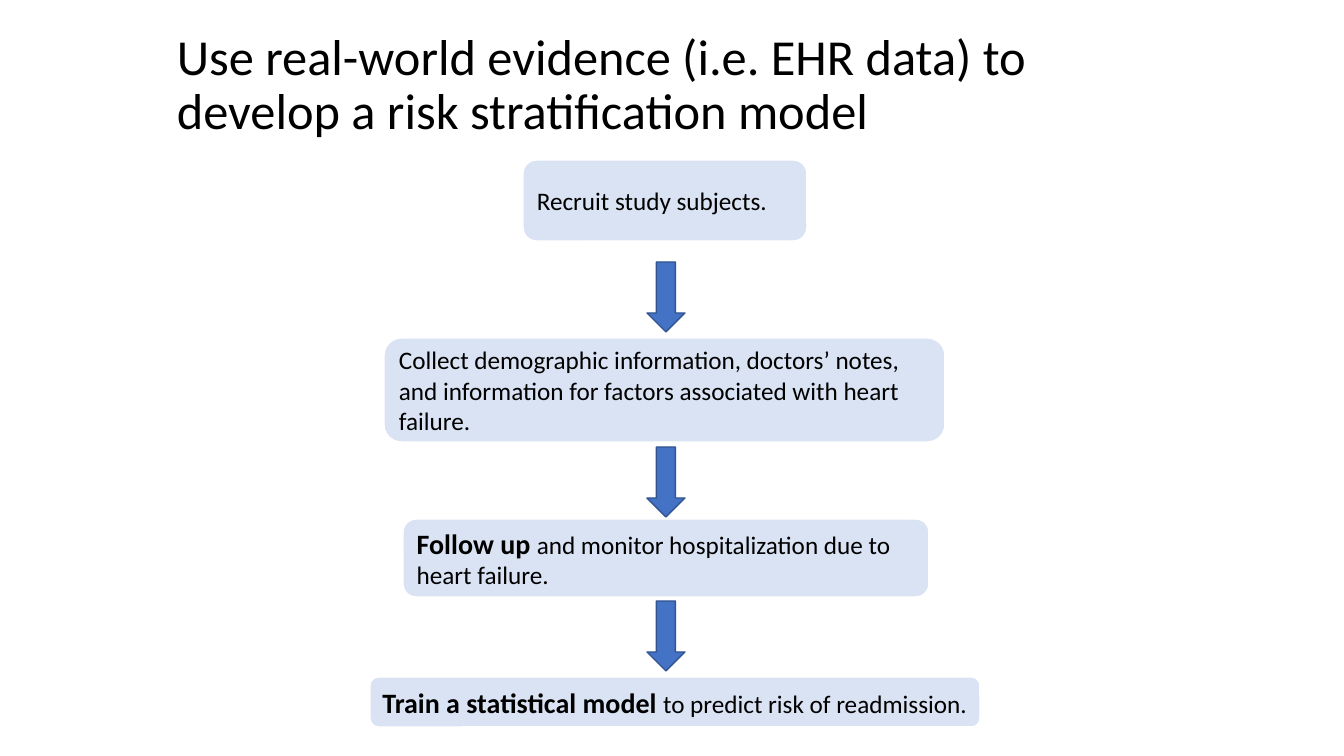
from pptx import Presentation
from pptx.dml.color import RGBColor
from pptx.enum.shapes import MSO_SHAPE
from pptx.enum.text import MSO_ANCHOR, PP_ALIGN
from pptx.util import Pt

EMU_PER_PX = 914400 / 100.8
ROUNDED = MSO_SHAPE.ROUNDED_RECTANGLE
DOWN_ARROW = MSO_SHAPE.DOWN_ARROW
MIDDLE = MSO_ANCHOR.MIDDLE
LEFT = PP_ALIGN.LEFT

FONT = "Calibri"
COLORS = {
    "text": "000000",
    "step": "DAE3F3",
    "step_line": "FFFFFF",
    "arrow": "4472C4",
    "arrow_line": "325491",
}

TITLE = "Use real-world evidence (i.e. EHR data) to develop a risk stratification model"

# Each step: left, top, width, height, bold lead, remaining text
STEPS = [
    (523, 160, 284, 81, "", "Recruit study subjects."),
    (384, 338, 561, 104, "",
     "Collect demographic information, doctors’ notes, and information "
     "for factors associated with heart failure."),
    (403, 519, 526, 78, "Follow up ",
     "and monitor hospitalization due to heart failure."),
    (370, 677, 610, 50, "Train a statistical model ",
     "to predict risk of readmission."),
]
ARROW_LEFT, ARROW_WIDTH, ARROW_HEIGHT = 647, 38, 70
ARROW_TOPS = [262, 447, 601]


def px(length):
    return round(length * EMU_PER_PX)


def color(name):
    return RGBColor.from_string(COLORS[name])


def style_paragraph(para, size):
    para.alignment = LEFT
    para.font.name = FONT
    para.font.size = Pt(size)
    para.font.color.rgb = color("text")


def add_title(page):
    box = page.shapes.add_textbox(px(167), px(40), px(1020), px(146))
    frame = box.text_frame
    frame.word_wrap = True
    frame.vertical_anchor = MIDDLE
    # The deep bottom inset lifts the two lines above the box centre
    frame.margin_top, frame.margin_bottom = 0, px(54)
    para = frame.paragraphs[0]
    para.text = TITLE
    para.line_spacing = 0.9
    style_paragraph(para, 36)


def add_block(page, kind, left, top, width, height, fill):
    block = page.shapes.add_shape(kind, px(left), px(top), px(width), px(height))
    block.shadow.inherit = False
    block.fill.solid()
    block.fill.fore_color.rgb = color(fill)
    block.line.color.rgb = color(fill + "_line")
    block.line.width = Pt(1)
    return block


def add_step(page, left, top, width, height, lead, body):
    block = add_block(page, ROUNDED, left, top, width, height, "step")
    frame = block.text_frame
    frame.word_wrap = True
    frame.vertical_anchor = MIDDLE
    para = frame.paragraphs[0]
    style_paragraph(para, 18)
    if lead:
        span = para.add_run()
        span.text = lead
        span.font.bold = True
        span.font.size = Pt(20)
    para.add_run().text = body


def main():
    deck = Presentation()
    deck.slide_width, deck.slide_height = px(1344), px(756)
    page = deck.slides.add_slide(deck.slide_layouts[6])

    # Heading
    add_title(page)

    # Study steps
    for step in STEPS:
        add_step(page, *step)

    # Arrows between steps
    for top in ARROW_TOPS:
        add_block(page, DOWN_ARROW, ARROW_LEFT, top, ARROW_WIDTH, ARROW_HEIGHT, "arrow")

    deck.save("out.pptx")


if __name__ == "__main__":
    main()
